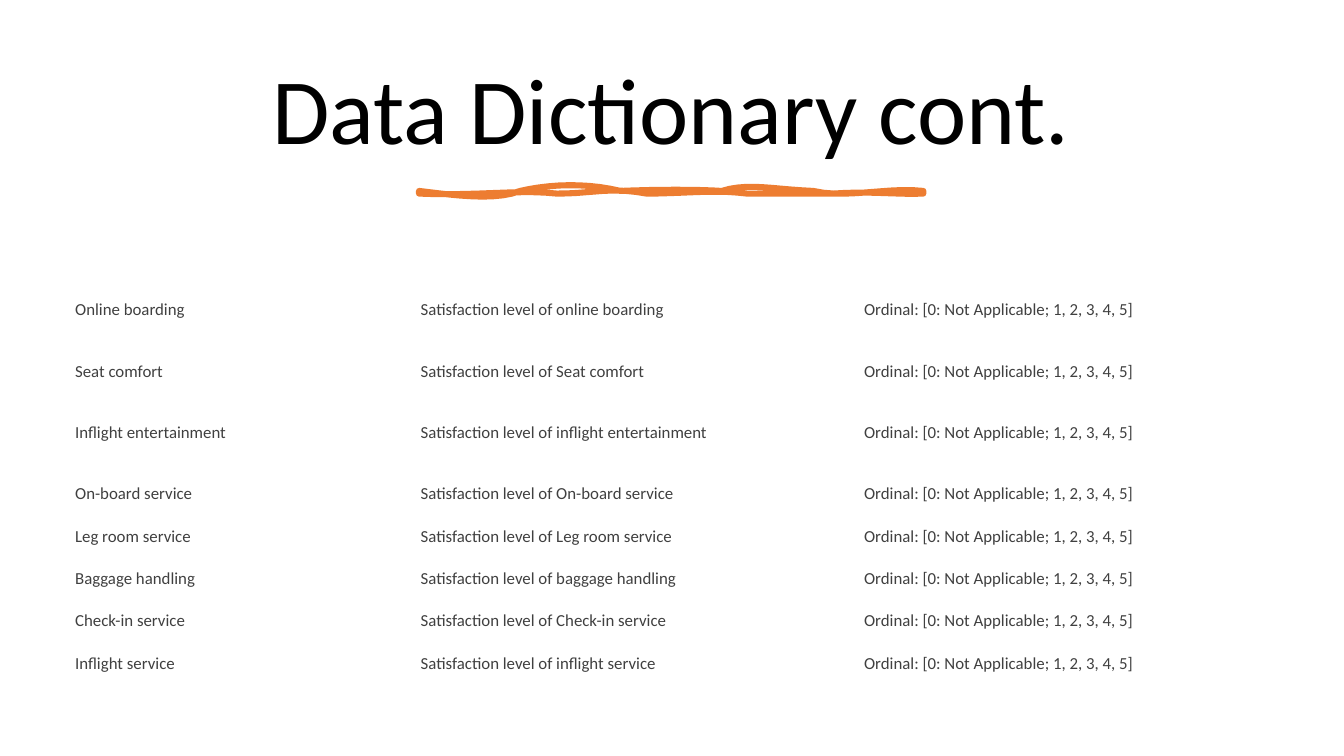
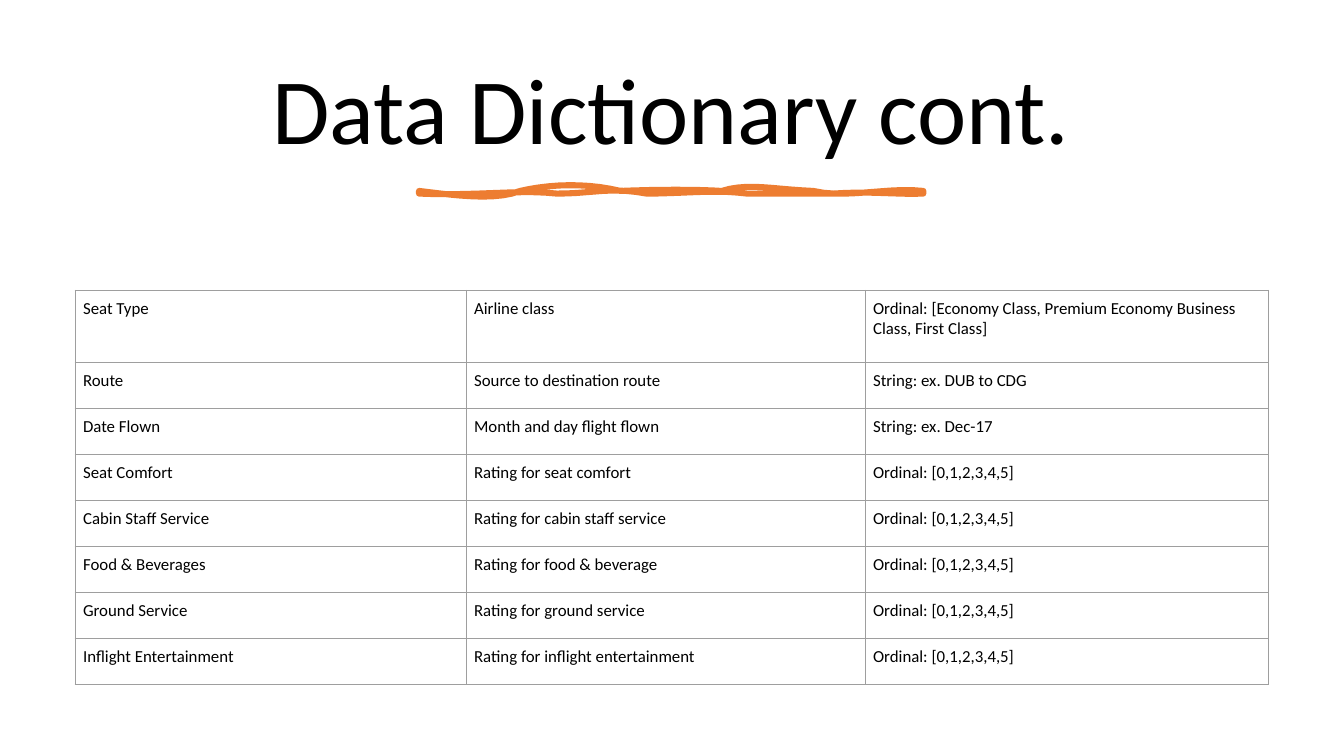
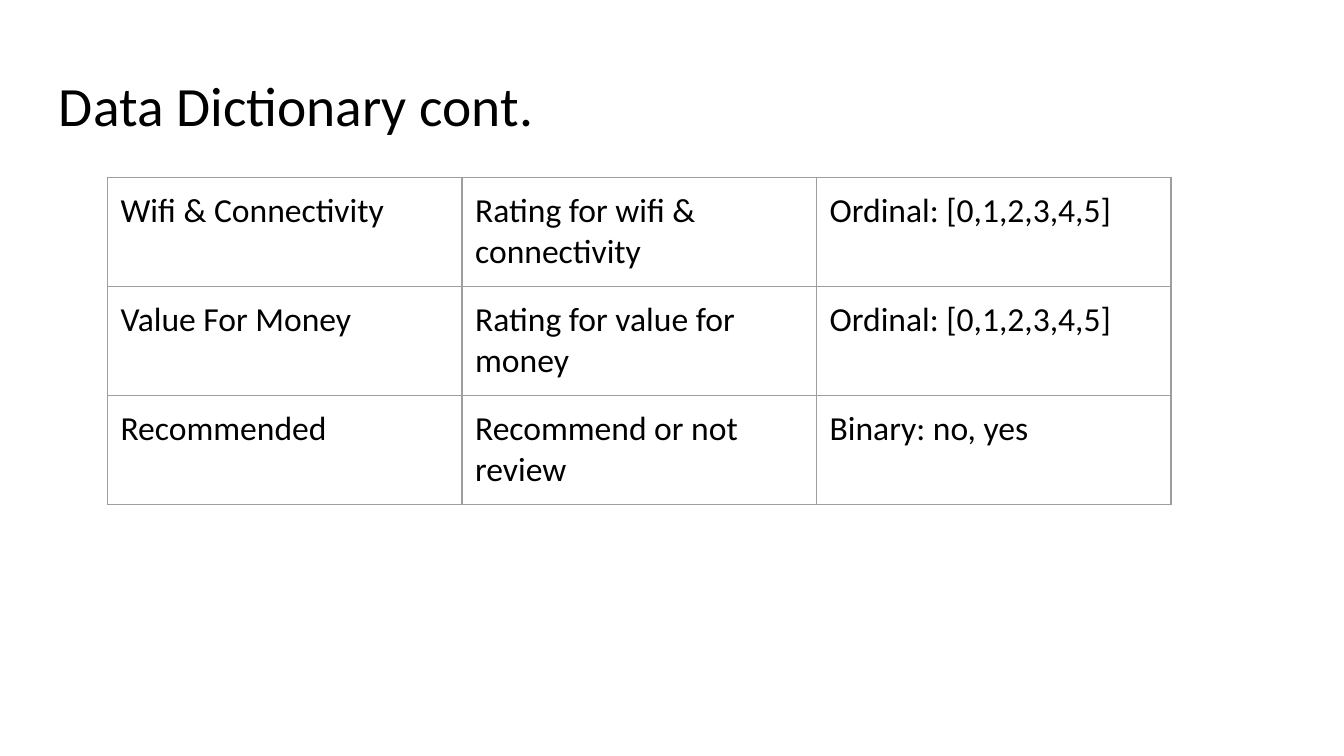
import lxml.etree
import pptx
import pptx.dml.color
import pptx.enum.text
import pptx.oxml.ns
import pptx.util

Cm = pptx.util.Cm
Pt = pptx.util.Pt
qn = pptx.oxml.ns.qn
anchors = pptx.enum.text.MSO_ANCHOR
alignments = pptx.enum.text.PP_ALIGN

COLORS = {"title": "000000", "muted": "404040", "entry": "000000", "grid": "9E9E9E", "accent": "ED7D31"}
FONT = "Calibri"
NO_STYLE = "{2D5ABB26-0587-4C30-8999-92F81FD0307C}"
SATISFACTION_SCALE = "Ordinal: [0: Not Applicable; 1, 2, 3, 4, 5]"
RATING_SCALE = "Ordinal: [0,1,2,3,4,5]"
CURVE_STEPS = 10

brush_start = (7.92, 3.61)
brush_curves = [
    ((8.51, 3.68), (9.35, 3.81), (9.83, 3.61)),
    ((10.39, 3.48), (11.07, 3.45), (11.73, 3.61)),
    ((12.42, 3.58), (13.18, 3.58), (13.64, 3.61)),
    ((14.15, 3.45), (14.61, 3.58), (15.37, 3.61)),
    ((15.98, 3.76), (16.81, 3.53), (17.45, 3.61)),
    ((17.45, 3.63), (17.45, 3.63), (17.45, 3.66)),
    ((16.87, 3.68), (16.51, 3.61), (15.75, 3.66)),
    ((14.96, 3.66), (14.81, 3.66), (14.12, 3.66)),
    ((13.49, 3.58), (12.95, 3.66), (12.22, 3.66)),
    ((11.51, 3.53), (11.23, 3.66), (10.52, 3.66)),
    ((9.83, 3.58), (8.94, 3.71), (7.92, 3.66)),
]

brush_points = []
curve_start = brush_start
for first_pull, second_pull, curve_end in brush_curves:
    for step in range(1, CURVE_STEPS + 1):
        t = step / CURVE_STEPS
        brush_points.append(tuple(
            Cm((1 - t) ** 3 * a + 3 * (1 - t) ** 2 * t * b + 3 * (1 - t) * t ** 2 * c + t ** 3 * d)
            for a, b, c, d in zip(curve_start, first_pull, second_pull, curve_end)
        ))
    curve_start = curve_end

satisfaction_entries = [
    (feature, f"Satisfaction level of {subject}", SATISFACTION_SCALE)
    for feature, subject in [
        ("Online boarding", "online boarding"),
        ("Seat comfort", "Seat comfort"),
        ("Inflight entertainment", "inflight entertainment"),
        ("On-board service", "On-board service"),
        ("Leg room service", "Leg room service"),
        ("Baggage handling", "baggage handling"),
        ("Check-in service", "Check-in service"),
        ("Inflight service", "inflight service"),
    ]
]
review_entries = [
    ("Seat Type", "Airline class", "Ordinal: [Economy Class, Premium Economy Business Class, First Class]"),
    ("Route", "Source to destination route", "String: ex. DUB to CDG"),
    ("Date Flown", "Month and day flight flown", "String: ex. Dec-17"),
    ("Seat Comfort", "Rating for seat comfort", RATING_SCALE),
    ("Cabin Staff Service", "Rating for cabin staff service", RATING_SCALE),
    ("Food & Beverages", "Rating for food & beverage", RATING_SCALE),
    ("Ground Service", "Rating for ground service", RATING_SCALE),
    ("Inflight Entertainment", "Rating for inflight entertainment", RATING_SCALE),
]
verdict_entries = [
    ("Wifi & Connectivity", "Rating for wifi & connectivity", RATING_SCALE),
    ("Value For Money", "Rating for value for money", RATING_SCALE),
    ("Recommended", "Recommend or not review", "Binary: no, yes"),
]

banner_title = {"box": (1.32, 0.86, 22.73, 2.59), "size": 50, "align": alignments.CENTER,
                "anchor": anchors.MIDDLE, "brush": True}
plain_title = {"box": (0.86, 1.24, 23.67, 1.6), "size": 29.7, "align": alignments.LEFT,
               "anchor": anchors.TOP, "brush": False}

dictionary_pages = [
    {"title": banner_title, "entries": satisfaction_entries, "origin": (1.09, 5.49),
     "widths": [6.53, 8.38, 8.33], "heights": [1.16] * 3 + [0.8] * 5,
     "insets": (0.33, 0.18, 0.25, 0.18), "size": 9, "color": "muted", "grid": False},
    {"title": banner_title, "entries": review_entries, "origin": (1.42, 5.49),
     "widths": [7.39, 7.54, 7.62], "heights": [1.36] + [0.87] * 7,
     "insets": (0.15,) * 4, "size": 9, "color": "entry", "grid": True},
    {"title": plain_title, "entries": verdict_entries, "origin": (2.03, 3.35),
     "widths": [6.7] * 3, "heights": [2.06] * 3,
     "insets": (0.25,) * 4, "size": 18, "color": "entry", "grid": True},
]


def rgb(name):
    return pptx.dml.color.RGBColor.from_string(COLORS[name])


def format_text(frame, size, color):
    for paragraph in frame.paragraphs:
        for run in paragraph.runs:
            run.font.name = FONT
            run.font.size = Pt(size)
            run.font.color.rgb = rgb(color)


presentation = pptx.Presentation()
presentation.slide_width = Cm(25.4)
presentation.slide_height = Cm(14.29)

for page in dictionary_pages:
    slide = presentation.slides.add_slide(presentation.slide_layouts[5])
    heading_style = page["title"]
    heading = slide.shapes.title
    heading.left, heading.top, heading.width, heading.height = map(Cm, heading_style["box"])
    heading_frame = heading.text_frame
    heading_frame.text = "Data Dictionary cont."
    heading_frame.auto_size = pptx.enum.text.MSO_AUTO_SIZE.NONE
    heading_frame.vertical_anchor = heading_style["anchor"]
    if not heading_style["brush"]:
        heading_frame.margin_top = heading_frame.margin_bottom = Cm(0.25)
    heading_frame.paragraphs[0].alignment = heading_style["align"]
    heading_frame.paragraphs[0].line_spacing = 0.9
    format_text(heading_frame, heading_style["size"], "title")

    if heading_style["brush"]:
        outline = slide.shapes.build_freeform(*map(Cm, brush_start))
        outline.add_line_segments(brush_points, close=True)
        underline = outline.convert_to_shape()
        underline.shadow.inherit = False
        underline.fill.solid()
        underline.fill.fore_color.rgb = rgb("accent")
        underline.line.color.rgb = rgb("accent")
        underline.line.width = Pt(3.25)
        for stroke in underline.element.iter(qn("a:path")):
            stroke.set("fill", "none")

    entries = page["entries"]
    left, top = map(Cm, page["origin"])
    dictionary_frame = slide.shapes.add_table(
        len(entries), 3, left, top, Cm(sum(page["widths"])), Cm(sum(page["heights"])))
    dictionary = dictionary_frame.table
    dictionary.first_row = False
    dictionary.horz_banding = False
    for style_id in dictionary_frame.element.iter(qn("a:tableStyleId")):
        style_id.text = NO_STYLE
    for column, width in zip(dictionary.columns, page["widths"]):
        column.width = Cm(width)
    for row, height, entry in zip(dictionary.rows, page["heights"], entries):
        row.height = Cm(height)
        for cell, wording in zip(row.cells, entry):
            cell.text_frame.text = wording
            cell.margin_left, cell.margin_top, cell.margin_right, cell.margin_bottom = map(Cm, page["insets"])
            format_text(cell.text_frame, page["size"], page["color"])
            if page["grid"]:
                cell_properties = cell._tc.get_or_add_tcPr()
                for side in ("a:lnL", "a:lnR", "a:lnT", "a:lnB"):
                    border = lxml.etree.SubElement(cell_properties, qn(side), w=str(Pt(0.75)))
                    border_fill = lxml.etree.SubElement(border, qn("a:solidFill"))
                    lxml.etree.SubElement(border_fill, qn("a:srgbClr"), val=COLORS["grid"])
            cell.fill.background()

presentation.save("out.pptx")
